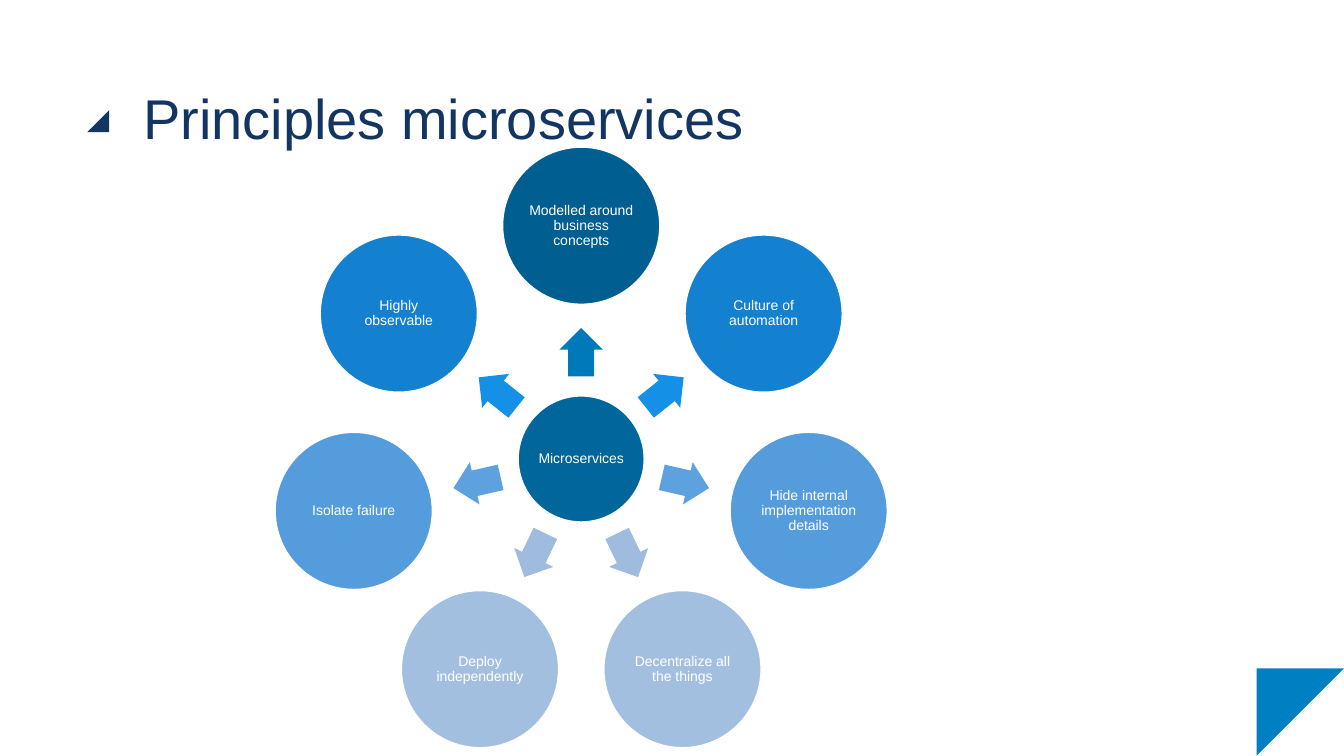
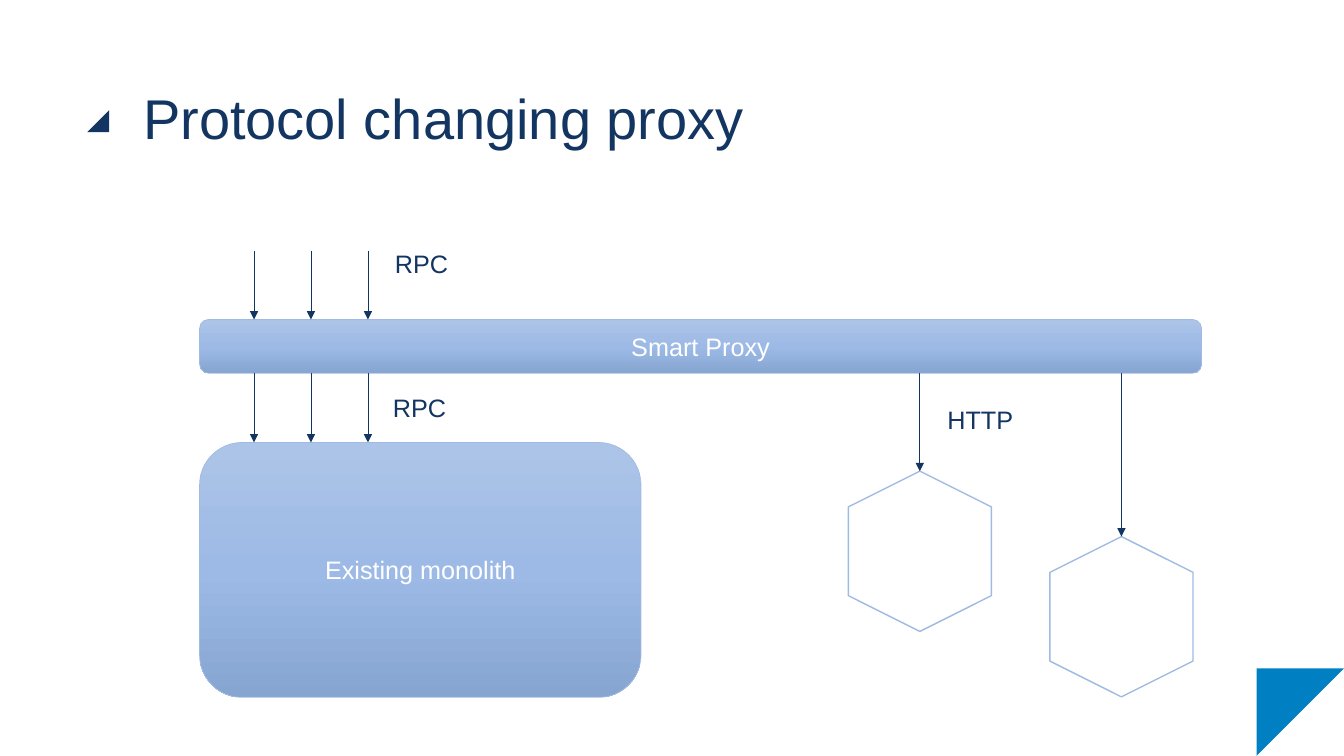
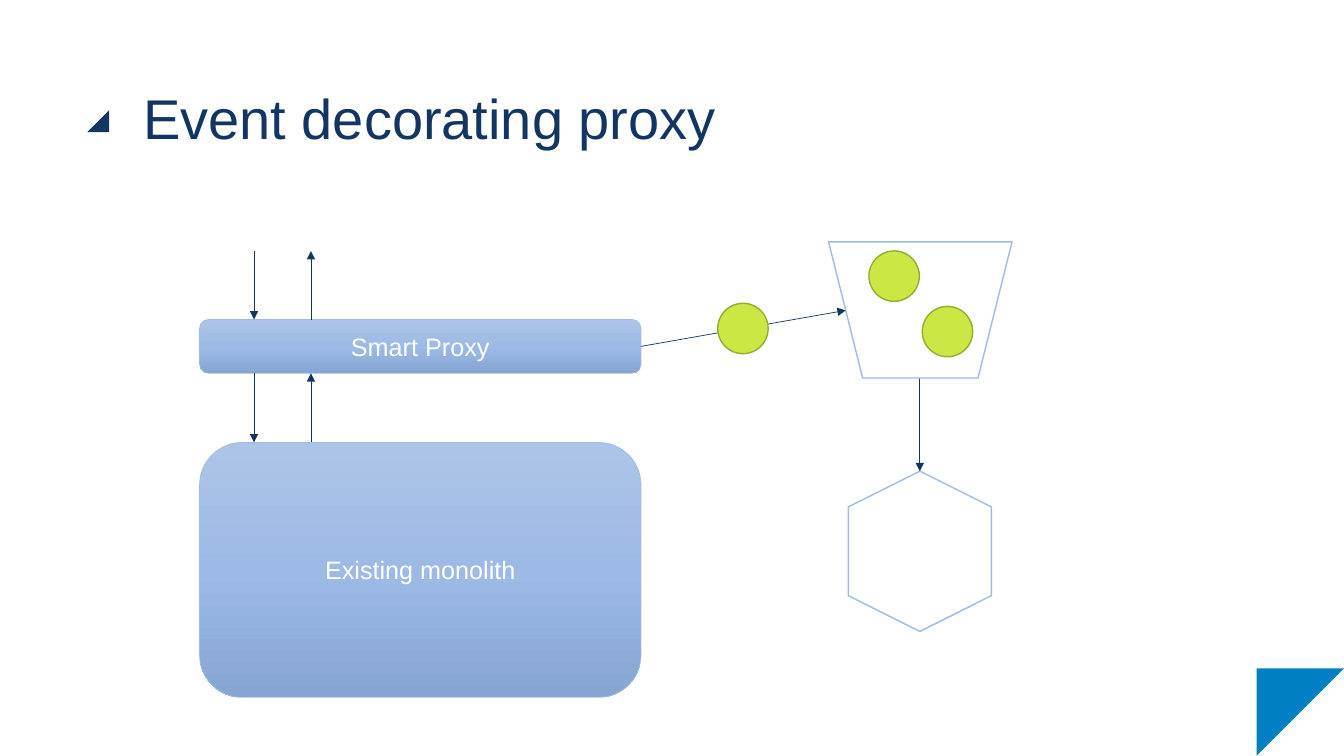
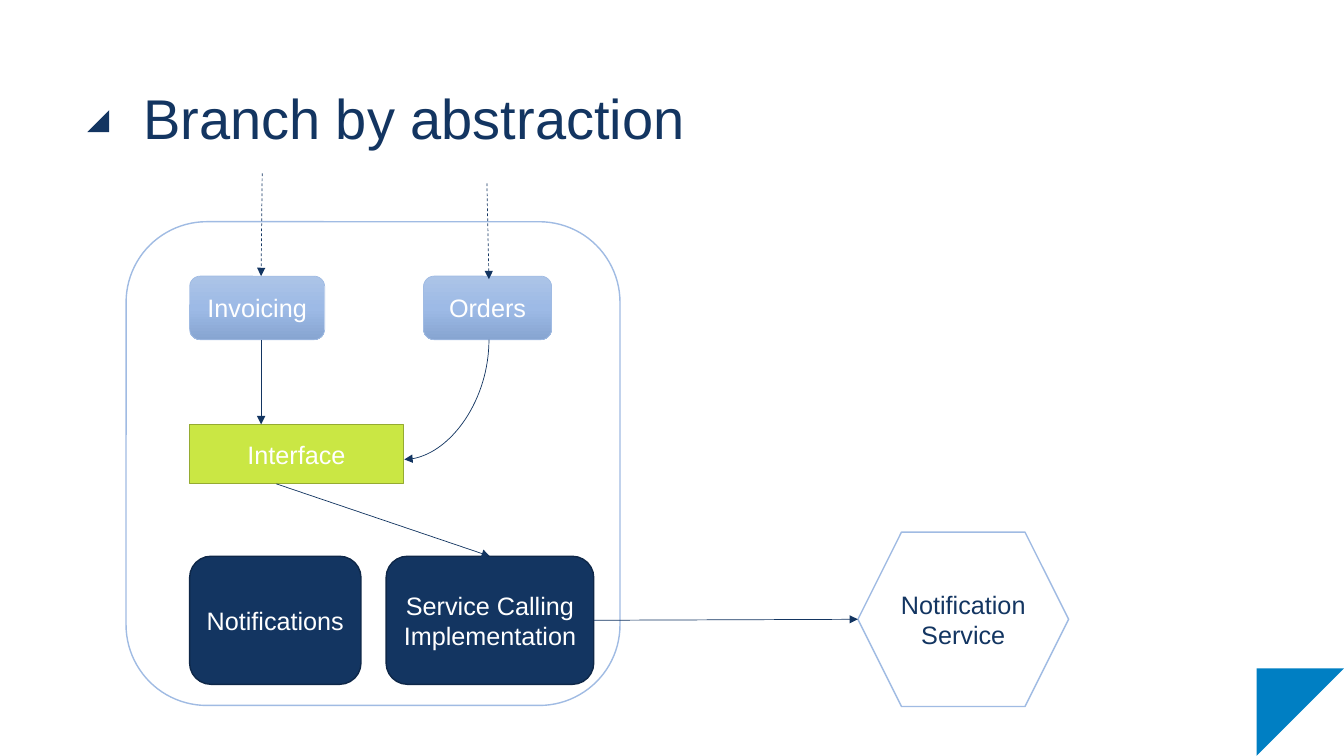
from copy import deepcopy
from dataclasses import dataclass
from math import cos, radians, sin

from pptx import Presentation
from pptx import util as u
from pptx.dml.color import RGBColor
from pptx.enum import dml, shapes, text
from pptx.oxml.ns import qn
from lxml import etree

KIND = shapes.MSO_SHAPE
LINK = shapes.MSO_CONNECTOR
ALIGN = text.PP_ALIGN
ANCHOR = text.MSO_ANCHOR


@dataclass(frozen=True)
class Theme:
    """Colours, type sizes and line widths shared by the slides."""
    font: str = "Arial"
    navy: str = "133561"
    deep: str = "0E2748"
    blue: str = "007FC3"
    pale: str = "A0BBE3"
    lime: str = "CAE744"
    moss: str = "95AB32"
    white: str = "FFFFFF"
    hub: str = "00669C"
    fade: tuple = ("ACC4E7", "9DBAE6", "87A5D1")
    discs: tuple = ("005E90", "1381CF", "559CDD", "A3BFE0")
    darts: tuple = ("0079BA", "1590E7", "5EA1DF", "9FBCDF")
    head: int = 40
    body: int = 18
    small: int = 10
    thin: float = 0.5
    line: float = 1


T = Theme()
WIDE, HIGH = u.Inches(13.33), u.Inches(7.5)


def unit(n):
    """Turn grid units, each a hundredth of the slide width, into a length."""
    return u.Emu(round(n * WIDE / 100))


def rgb(code):
    """Turn a hex code into a colour."""
    return RGBColor.from_string(code)


def style(frame, size, color, align, anchor, pad, lead=None):
    """Format all the text of a frame."""
    frame.word_wrap = True
    frame.auto_size = text.MSO_AUTO_SIZE.NONE
    frame.vertical_anchor = anchor
    frame.margin_left = frame.margin_right = u.Inches(pad)
    frame.margin_top = frame.margin_bottom = u.Inches(pad / 2)
    for para in frame.paragraphs:
        para.alignment = align
        if lead:
            para.line_spacing = lead
        for run in para.runs:
            run.font.name = T.font
            run.font.size = u.Pt(size)
            run.font.color.rgb = rgb(color)


def blend(shape, codes):
    """Fill a shape with an even gradient from top to bottom."""
    shape.fill.gradient()
    shape.fill.gradient_angle = 270
    stops = shape.element.xpath(".//a:gsLst")[0]
    stops.append(deepcopy(stops[-1]))
    for i, (stop, code) in enumerate(zip(shape.fill.gradient_stops, codes)):
        stop.position = i / (len(codes) - 1)
        stop.color.rgb = rgb(code)


@dataclass
class Area:
    """A box on a slide, measured in grid units, that holds parts."""
    slide: object
    x: float
    y: float
    w: float
    h: float

    def spot(self, x, y):
        """Give the slide position of a point in the area."""
        return unit(self.x + x), unit(self.y + y)

    def shape(self, kind, x, y, w, h, fill, edge=None, width=T.line, turn=0):
        """Add a preset shape."""
        part = self.slide.shapes.add_shape(
            kind, *self.spot(x, y), unit(w), unit(h))
        part.shadow.inherit = False
        part.rotation = turn
        if isinstance(fill, tuple):
            blend(part, fill)
        else:
            part.fill.solid()
            part.fill.fore_color.rgb = rgb(fill)
        if edge:
            part.line.color.rgb = rgb(edge)
            part.line.width = u.Pt(width)
        else:
            part.line.fill.background()
        return part

    def disc(self, x, y, size, fill, edge, words=""):
        """Add a circle about a centre, with small text."""
        part = self.shape(KIND.OVAL, x - size / 2, y - size / 2, size, size,
                          fill, edge)
        part.text_frame.text = words
        style(part.text_frame, T.small, T.white, ALIGN.CENTER,
              ANCHOR.MIDDLE, 0.01, 0.9)

    def block(self, words, x, y, w, h, fill=T.fade, edge=T.pale,
              width=T.thin, kind=KIND.ROUNDED_RECTANGLE, color=T.white):
        """Add a shape with centred text."""
        part = self.shape(kind, x, y, w, h, fill, edge, width)
        part.text_frame.text = words
        style(part.text_frame, T.body, color, ALIGN.CENTER,
              ANCHOR.MIDDLE, 0.05)
        return part

    def label(self, words, x, y):
        """Add a line of free text."""
        box = self.slide.shapes.add_textbox(
            *self.spot(x, y), unit(11.18), unit(3))
        box.text_frame.text = words
        style(box.text_frame, T.body, T.navy, ALIGN.LEFT, ANCHOR.TOP, 0.1)

    def arrow(self, start, end, dash=False, kind=LINK.STRAIGHT,
              tip="a:tailEnd"):
        """Add a thin line with an arrowhead."""
        line = self.slide.shapes.add_connector(
            kind, *self.spot(*start), *self.spot(*end))
        line.line.color.rgb = rgb(T.navy)
        line.line.width = u.Pt(T.thin)
        if dash:
            line.line.dash_style = dml.MSO_LINE.DASH
        props = line.element.spPr
        etree.SubElement(props.find(qn("a:ln")), qn(tip), type="triangle")
        etree.SubElement(props, qn("a:effectLst"))
        return line


def brand(slide, layout):
    """Draw the two corner marks and move them to the layout."""
    page = Area(slide, 0, 0, 100, 56.25)
    marks = (page.shape(KIND.RIGHT_TRIANGLE, 6.5, 8.2, 1.63, 1.63, T.navy,
                        turn=270),
             page.shape(KIND.RIGHT_TRIANGLE, 93.5, 49.75, 6.5, 6.5, T.blue,
                        turn=90))
    for i, mark in enumerate(marks):
        mark.element.xpath("./p:nvSpPr/p:cNvPr")[0].set("id", str(50 + i))
        layout.shapes.element.append(mark.element)


def start(deck, words):
    """Add a slide with its title."""
    slide = deck.slides.add_slide(deck.slide_layouts[5])
    title = slide.shapes.title
    title.left, title.top = unit(10.65), unit(5.93)
    title.width, title.height = unit(80.93), unit(10.65)
    title.text_frame.text = words
    style(title.text_frame, T.head, T.navy, ALIGN.LEFT, ANCHOR.TOP, 0, 1.05)
    return slide


def wheel(area, core, items):
    """Draw a hub with arrows out to a ring of discs."""
    x, y = area.w / 2, area.h / 2
    disc, dart, deep = 11.7, 3.6, 3.23
    ring = y - disc / 2
    area.disc(x, y, 9.38, T.hub, T.white, core)
    for i, words in enumerate(items):
        angle = 360 * i / len(items) - 90
        dx, dy = cos(radians(angle)), sin(radians(angle))
        tone = min(i, len(items) - i)
        area.shape(KIND.RIGHT_ARROW, x + 7.95 * dx - dart / 2,
                   y + 7.95 * dy - deep / 2, dart, deep, T.darts[tone],
                   turn=angle % 360).adjustments[0] = 0.6
        area.disc(x + ring * dx, y + ring * dy, disc, T.discs[tone],
                  T.white, words)


def stack(area, span, calls):
    """Draw a proxy above the monolith, with calls going down or up."""
    top, low, roof = 5.78, 9.78, 14.93
    area.block("Existing monolith", 0, roof, 32.85, area.h - roof)
    proxy = area.block("Smart Proxy", 0, top, span, low - top)
    for i, down in enumerate(calls):
        x = 4.05 + 4.24 * i
        for ends in (((x, 0.68), (x, top)), ((x, low), (x, roof))):
            area.arrow(*(ends if down else ends[::-1]))
    return proxy


def service(area, x, y):
    """Draw an upright hexagon about a centre and the arrow into it."""
    w, h = 11.93, 10.65
    area.shape(KIND.HEXAGON, x - w / 2, y - h / 2, w, h, T.white, T.pale,
               turn=90)
    area.arrow((x, 9.78), (x, y - w / 2))


def events(area, proxy):
    """Draw the event queue, the events and the arrow from the proxy."""
    area.shape(KIND.TRAPEZOID, 46.8, 0, 13.65, 10.13, T.white, T.pale,
               turn=180)
    area.arrow((32.85, 7.78), (48.08, 5.1)).begin_connect(proxy, 3)
    for x, y in ((51.68, 2.55), (55.65, 6.68), (40.43, 6.45)):
        area.disc(x, y, 3.75, T.lime, T.moss)


def branch(area):
    """Draw an application whose interface leads to a new service."""
    left, row, foot, tall = 4.73, 7.65, 28.5, 4.73
    base = row + tall
    dark = dict(fill=T.navy, edge=T.deep, width=T.line)
    area.shape(KIND.ROUNDED_RECTANGLE, 0, 3.6, 36.75, 36, T.white, T.pale)
    area.block("Invoicing", left, row, 10.05, tall)
    area.block("Orders", 22.13, row, 9.53, tall)
    area.block("Notifications", left, foot, 12.75, 9.53, **dark)
    area.block("Interface", left, 18.68, 15.9, 4.43, T.lime, T.moss,
               T.line, KIND.RECTANGLE)
    code = area.block("Service Calling Implementation", 19.35, foot,
                      15.45, 9.53, **dark)
    area.block("Notification Service", 54.45, 26.7, 15.68, 12.98, T.white,
               T.pale, T.line, KIND.HEXAGON, T.navy)
    area.arrow((10.13, 0), (10.05, row), dash=True)
    area.arrow((26.85, 0.75), (27, 7.88), dash=True)
    area.arrow((10.05, base), (10.05, 18.68))
    bend = area.arrow((20.7, 21.3), (27, base), kind=LINK.CURVE,
                      tip="a:headEnd")
    bend.element.spPr.find(qn("a:prstGeom")).set("prst", "curvedConnector2")
    area.arrow((11.18, 23.11), (27.08, foot)).end_connect(code, 0)
    area.arrow((34.8, 33.27), (54.45, 33.19)).begin_connect(code, 3)


def main():
    """Build the deck and save it."""
    deck = Presentation()
    deck.slide_width, deck.slide_height = WIDE, HIGH

    slide = start(deck, "Principles microservices")
    brand(slide, deck.slide_layouts[5])
    wheel(Area(slide, 20.48, 10.95, 45.53, 46.42), "Microservices", (
        "Modelled around business concepts", "Culture of automation",
        "Hide internal implementation details", "Decentralize all the things",
        "Deploy independently", "Isolate failure", "Highly observable"))

    area = Area(start(deck, "Protocol changing proxy"), 14.85, 18, 74.55, 33.9)
    stack(area, area.w, (True, True, True))
    for x, y in ((53.59, 23.03), (68.59, 27.9)):
        service(area, x, y)
    for words, x, y in (("RPC", 13.8, 0.08), ("RPC", 13.65, 10.8),
                        ("HTTP", 54.9, 11.7)):
        area.label(words, x, y)

    area = Area(start(deck, "Event decorating proxy"), 14.85, 18, 74.55, 33.9)
    proxy = stack(area, 32.85, (True, False))
    service(area, 53.59, 23.03)
    events(area, proxy)

    branch(Area(start(deck, "Branch by abstraction"), 9.38, 12.9, 70.13, 39.6))
    deck.save("out.pptx")


if __name__ == "__main__":
    main()
